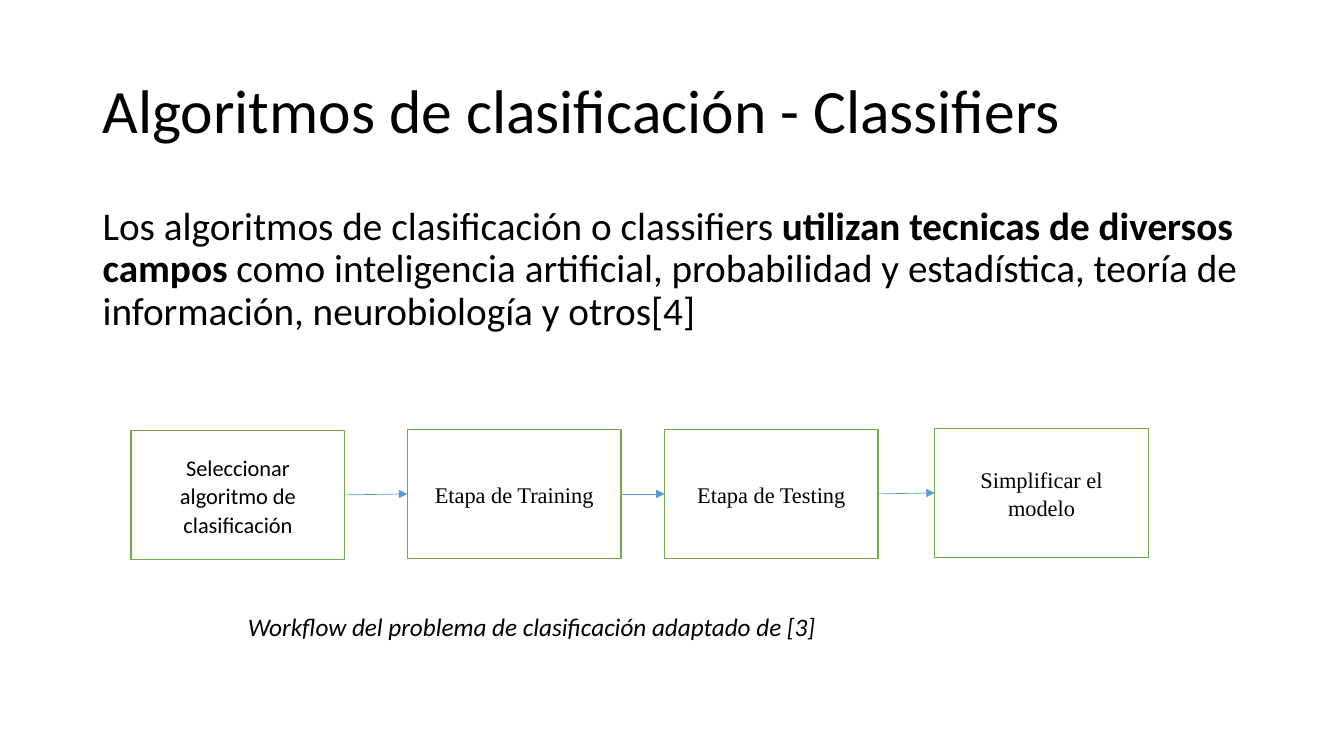
from dataclasses import dataclass
from itertools import pairwise

from lxml.etree import SubElement
from pptx import Presentation
from pptx.dml.color import RGBColor
from pptx.enum.shapes import MSO_CONNECTOR, MSO_SHAPE
from pptx.enum.text import MSO_ANCHOR, PP_ALIGN
from pptx.oxml.ns import qn
from pptx.util import Inches, Pt


@dataclass(frozen=True)
class Theme:
    ink: RGBColor = RGBColor(0, 0, 0)
    paper: RGBColor = RGBColor(255, 255, 255)
    border: RGBColor = RGBColor(0x70, 0xAD, 0x47)
    arrow: RGBColor = RGBColor(0x5B, 0x9B, 0xD5)
    sans: str = "Calibri"
    serif: str = "Times New Roman"
    title_size: Pt = Pt(44)
    body_size: Pt = Pt(28)
    caption_size: Pt = Pt(18)
    step_size: Pt = Pt(16)


THEME = Theme()
STEP_WIDTH, STEP_HEIGHT = 2.12, 1.28

# Workflow steps: label, left, top, font, line spacing
STEPS = [
    ("Seleccionar algoritmo de clasificación", 1.3, 4.27, THEME.sans, 1.07),
    ("Etapa de Training", 4.04, 4.26, THEME.serif, 1.06),
    ("Etapa de Testing", 6.59, 4.26, THEME.serif, 1.05),
    ("Simplificar el modelo", 9.27, 4.25, THEME.serif, 1.05),
]


def apply_format(target, values):
    for name, value in values.items():
        setattr(target, name, value)


def write_text(box, spans, font, para_format, anchor=MSO_ANCHOR.TOP):
    """Fill a box with one paragraph of (text, extra font values) spans."""
    apply_format(box.text_frame, {"word_wrap": True, "vertical_anchor": anchor})
    para = box.text_frame.paragraphs[0]
    apply_format(para, para_format)
    for text, extra in spans:
        span = para.add_run()
        span.text = text
        apply_format(span.font, {"name": THEME.sans, **font, **extra})
        span.font.color.rgb = THEME.ink


def add_text(page, place, spans, font, para_format, anchor=MSO_ANCHOR.TOP):
    box = page.shapes.add_textbox(*map(Inches, place))
    write_text(box, spans, font, para_format, anchor)


def add_step(page, label, left, top, font_name, line_spacing):
    box = page.shapes.add_shape(
        MSO_SHAPE.RECTANGLE,
        *map(Inches, (left, top, STEP_WIDTH, STEP_HEIGHT)),
    )
    box.shadow.inherit = False
    box.fill.solid()
    box.fill.fore_color.rgb = THEME.paper
    box.line.color.rgb = THEME.border
    box.line.width = Pt(1)
    write_text(
        box,
        [(label, {})],
        {"name": font_name, "size": THEME.step_size},
        {"alignment": PP_ALIGN.CENTER, "line_spacing": line_spacing,
         "space_after": Pt(8)},
        MSO_ANCHOR.MIDDLE,
    )
    return box


def add_arrow(page, source, target):
    """Join the right side of one step to the left side of the next."""
    arrow = page.shapes.add_connector(MSO_CONNECTOR.STRAIGHT, 0, 0, 0, 0)
    arrow.begin_connect(source, 3)
    arrow.end_connect(target, 1)
    arrow.line.color.rgb = THEME.arrow
    arrow.line.width = Pt(0.5)
    SubElement(arrow.line._get_or_add_ln(), qn("a:tailEnd"), type="triangle")
    SubElement(arrow._element.spPr, qn("a:effectLst"))


def main():
    deck = Presentation()
    apply_format(deck, {"slide_width": Inches(13.33), "slide_height": Inches(7.5)})
    page = deck.slides.add_slide(deck.slide_layouts[6])

    # Title and introduction
    add_text(
        page, (0.92, 0.4, 11.5, 1.45),
        [("Algoritmos de clasificación - Classifiers", {})],
        {"size": THEME.title_size}, {"line_spacing": 0.9}, MSO_ANCHOR.MIDDLE,
    )
    add_text(
        page, (0.92, 2, 11.5, 4.76),
        [
            ("Los algoritmos de clasificación o classifiers ", {}),
            ("utilizan tecnicas de diversos campos", {"bold": True}),
            (" como inteligencia artificial, probabilidad y estadística, "
             "teoría de información, neurobiología y otros[4]", {}),
        ],
        {"size": THEME.body_size}, {"line_spacing": 0.9, "space_before": Pt(10)},
    )

    # Workflow
    steps = [add_step(page, *step) for step in STEPS]
    for source, target in pairwise(steps):
        add_arrow(page, source, target)

    # Caption
    add_text(
        page, (2.36, 6.02, 7.22, 0.4),
        [("Workflow del problema de clasificación adaptado de [3]", {})],
        {"size": THEME.caption_size, "italic": True}, {},
    )

    deck.save("out.pptx")


if __name__ == "__main__":
    main()
